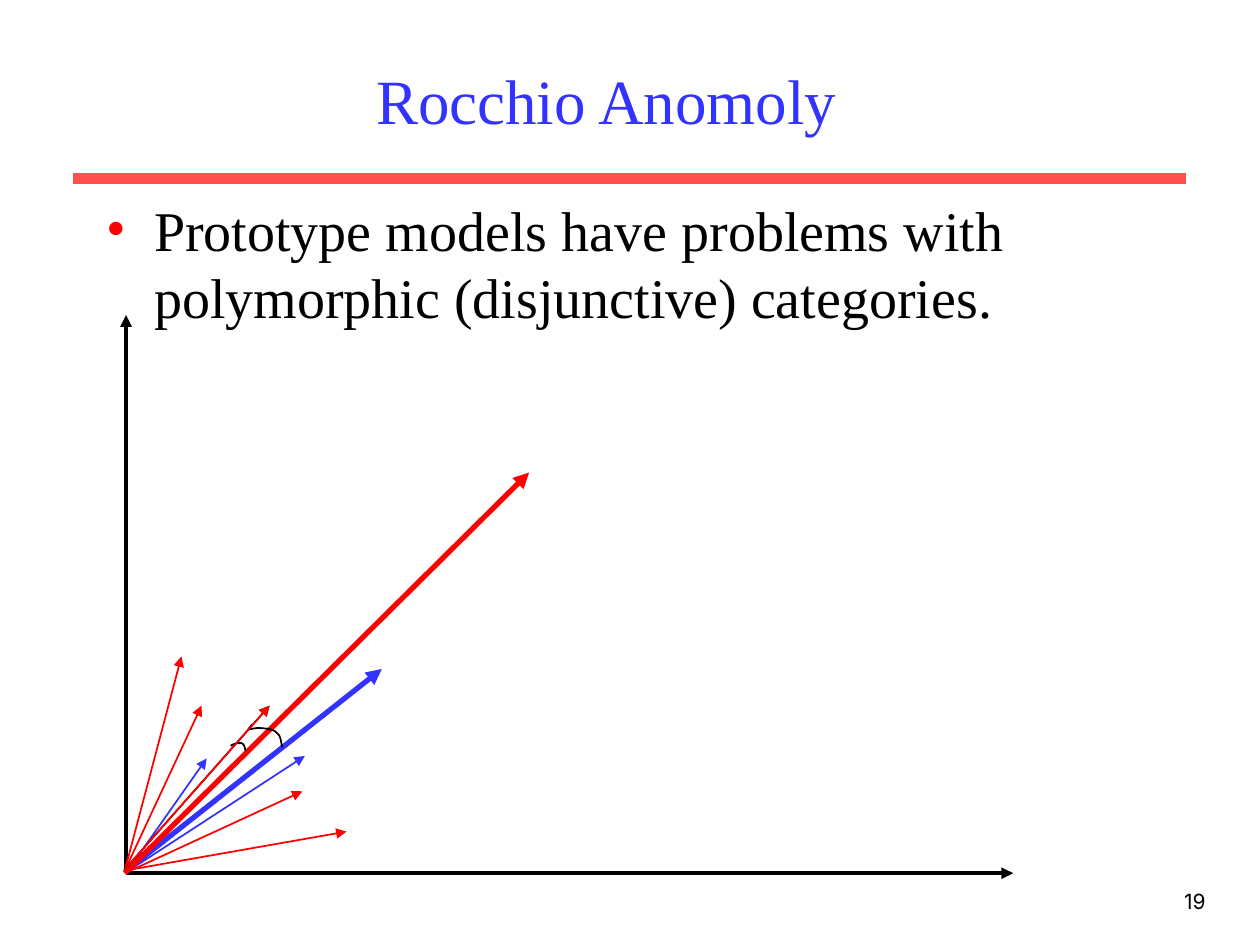
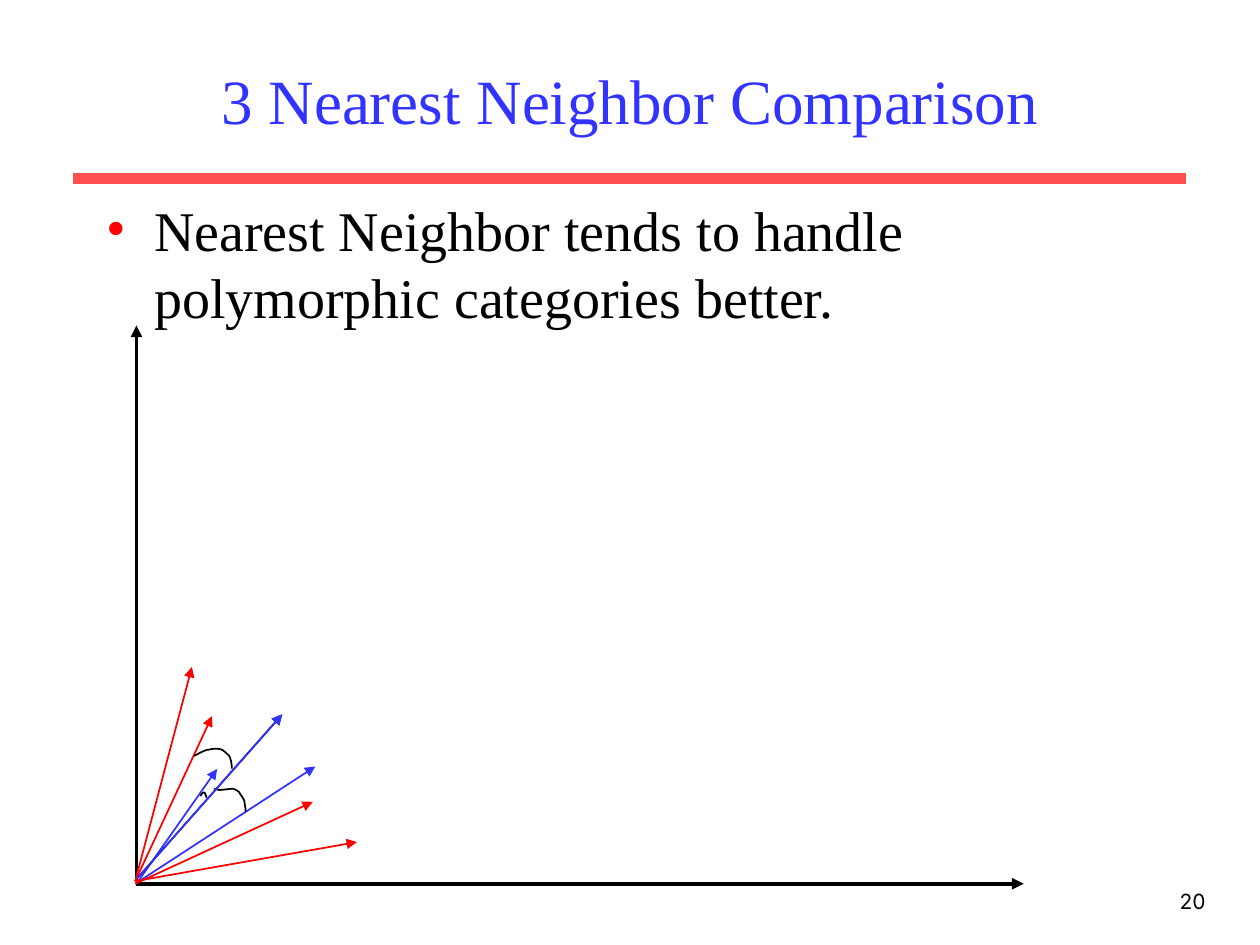
from pptx import Presentation
from pptx.util import Pt
from pptx.dml.color import RGBColor
from pptx.enum.shapes import MSO_CONNECTOR as Connector
from pptx.enum.text import MSO_ANCHOR as Anchor, MSO_AUTO_SIZE as AutoSize, PP_ALIGN as Align
from pptx.oxml.ns import qn
from lxml.etree import SubElement

COLORS = {"title": "3333FF", "rule": "FF5050", "text": "000000",
          "red": "FF0000", "blue": "3333FF"}
SERIF, SANS = "Times New Roman", "Inter"

AXES = [((72, 498.2), (72, 180)), ((72, 499), (579, 499))]
EXAMPLES = [
    ("red", (71.3, 497.5), (103.7, 375.1)),
    ("red", (71.3, 497.5), (115.2, 403.2)),
    ("blue", (72, 499), (118.1, 433.4)),
    ("blue", (71.3, 499), (174.2, 432)),
    ("red", (71.3, 499), (172.8, 452.2)),
    ("red", (71.3, 497.5), (198, 475.2)),
]

SLIDES = [
    {
        "title": "Rocchio Anomoly", "title_right": 34.2, "number": "19",
        "body": "Prototype models have problems with polymorphic (disjunctive) categories.",
        "shift": 0,
        "prototypes": [("blue", (71.3, 498.2), (218.2, 382.3)),
                       ("red", (71.3, 499), (302.4, 270))],
        "query": ((71.3, 496.8), (154.1, 403.2)), "answer": "red",
        "arcs": [
            ([(131.8, 426.2)],
             [((133.9, 424.8), (136.8, 424.1), (138.2, 424.8)),
              ((139.7, 425.5), (139.7, 426.7), (140.4, 429.1))]),
            ([(144, 414), (141.8, 416.9)],
             [((142.6, 416.9), (147.6, 415.4), (149.8, 416.2)),
              ((152.6, 416.2), (157, 416.9), (158.4, 419)),
              ((160.6, 420.5), (160.6, 424.1), (161.3, 427))]),
        ],
    },
    {
        "title": "3 Nearest Neighbor Comparison", "title_right": 7.2, "number": "20",
        "body": "Nearest Neighbor tends to handle polymorphic categories better.",
        "shift": 6,
        "prototypes": [],
        "query": ((78.5, 501.8), (161.3, 408.2)), "answer": "blue",
        "arcs": [
            ([(114.5, 455)],
             [((115.2, 453.6), (115.9, 452.9), (116.6, 452.9)),
              ((117.4, 452.9), (117.4, 454.3), (118.1, 455.8))]),
            ([(122.4, 450.7), (125.3, 451.4)],
             [((127.4, 451.4), (131.8, 450.7), (133.2, 450.7)),
              ((135.4, 451.4), (136.1, 452.2), (136.8, 452.9)),
              ((137.5, 454.3), (139, 455.8), (139.7, 457.9)),
              ((139.7, 459.4), (140.4, 461.5), (140.4, 463.7))]),
            ([(110.9, 432)],
             [((113.8, 430.6), (117.4, 428.4), (119.5, 428.4)),
              ((122.4, 427.7), (124.6, 427.7), (126.7, 428.4)),
              ((128.2, 429.1), (129.6, 430.6), (131, 432)),
              ((131.8, 433.4), (132.5, 435.8), (132.5, 439.2))]),
        ],
    },
]


def rgb(name):
    return RGBColor.from_string(COLORS[name])


def place(box, left, top, width, height):
    box.left, box.top, box.width, box.height = Pt(left), Pt(top), Pt(width), Pt(height)


def write(box, text, size, font, color, align, anchor=Anchor.TOP):
    frame = box.text_frame
    frame.word_wrap = True
    frame.auto_size = AutoSize.NONE
    frame.vertical_anchor = anchor
    para = frame.paragraphs[0]
    para.alignment = align
    span = para.add_run()
    span.text = text
    span.font.size = Pt(size)
    span.font.name = font
    span.font.color.rgb = rgb(color)
    return para


def add_bullet(para, color):
    props = para._p.get_or_add_pPr()
    props.set("marL", str(Pt(27)))
    props.set("indent", str(-Pt(27)))
    tint = SubElement(props, qn("a:buClr"))
    SubElement(tint, qn("a:srgbClr"), val=COLORS[color])
    SubElement(props, qn("a:buFont"), typeface=SERIF)
    SubElement(props, qn("a:buChar"), char="•")


def add_line(page, start, end, color, width, shift=0, arrow=True):
    ends = [Pt(value + shift) for value in (*start, *end)]
    line = page.shapes.add_connector(Connector.STRAIGHT, *ends)
    line.line.color.rgb = rgb(color)
    line.line.width = Pt(width)
    if arrow:
        SubElement(line.line._get_or_add_ln(), qn("a:tailEnd"), type="triangle")
    SubElement(line._element.spPr, qn("a:effectLst"))


def bezier(points, t):
    weights = ((1 - t) ** 3, 3 * t * (1 - t) ** 2, 3 * t ** 2 * (1 - t), t ** 3)
    return tuple(sum(w * p[axis] for w, p in zip(weights, points)) for axis in (0, 1))


def add_arc(page, lead, curves, steps=8):
    points = list(lead)
    for curve in curves:
        controls = (points[-1], *curve)
        points += [bezier(controls, step / steps) for step in range(1, steps + 1)]
    outline = [(Pt(x), Pt(y)) for x, y in points]
    builder = page.shapes.build_freeform(*outline[0])
    builder.add_line_segments(outline[1:], close=False)
    arc = builder.convert_to_shape()
    arc.shadow.inherit = False
    arc.fill.background()
    arc.line.color.rgb = rgb("text")
    arc.line.width = Pt(1)


def add_frame(page, content):
    add_line(page, (42, 102), (678, 102), "rule", 6, arrow=False)
    number = page.shapes.add_textbox(Pt(546), Pt(504), Pt(150), Pt(36))
    write(number, content["number"], 12, SANS, "text", Align.RIGHT)
    title = page.shapes.title
    place(title, 54, 18, 612, 78)
    write(title, content["title"], 36, SERIF, "title", Align.CENTER, Anchor.MIDDLE)
    title.text_frame.margin_right = Pt(content["title_right"])
    body = page.shapes.add_textbox(Pt(54), Pt(108), Pt(612), Pt(369))
    para = write(body, content["body"], 32, SERIF, "text", Align.LEFT)
    para.space_before = Pt(6.4)
    add_bullet(para, "red")


def add_vectors(page, content):
    shift = content["shift"]
    for start, end in AXES:
        add_line(page, start, end, "text", 2.25, shift)
    for color, start, end in EXAMPLES:
        add_line(page, start, end, color, 1, shift)
    for color, start, end in content["prototypes"]:
        add_line(page, start, end, color, 3)
    add_line(page, *content["query"], "text", 1)
    for lead, curves in content["arcs"]:
        add_arc(page, lead, curves)
    add_line(page, *content["query"], content["answer"], 1)


deck = Presentation()
deck.slide_width, deck.slide_height = Pt(720), Pt(540)
for content in SLIDES:
    page = deck.slides.add_slide(deck.slide_layouts[5])
    add_frame(page, content)
    add_vectors(page, content)
deck.save("out.pptx")
